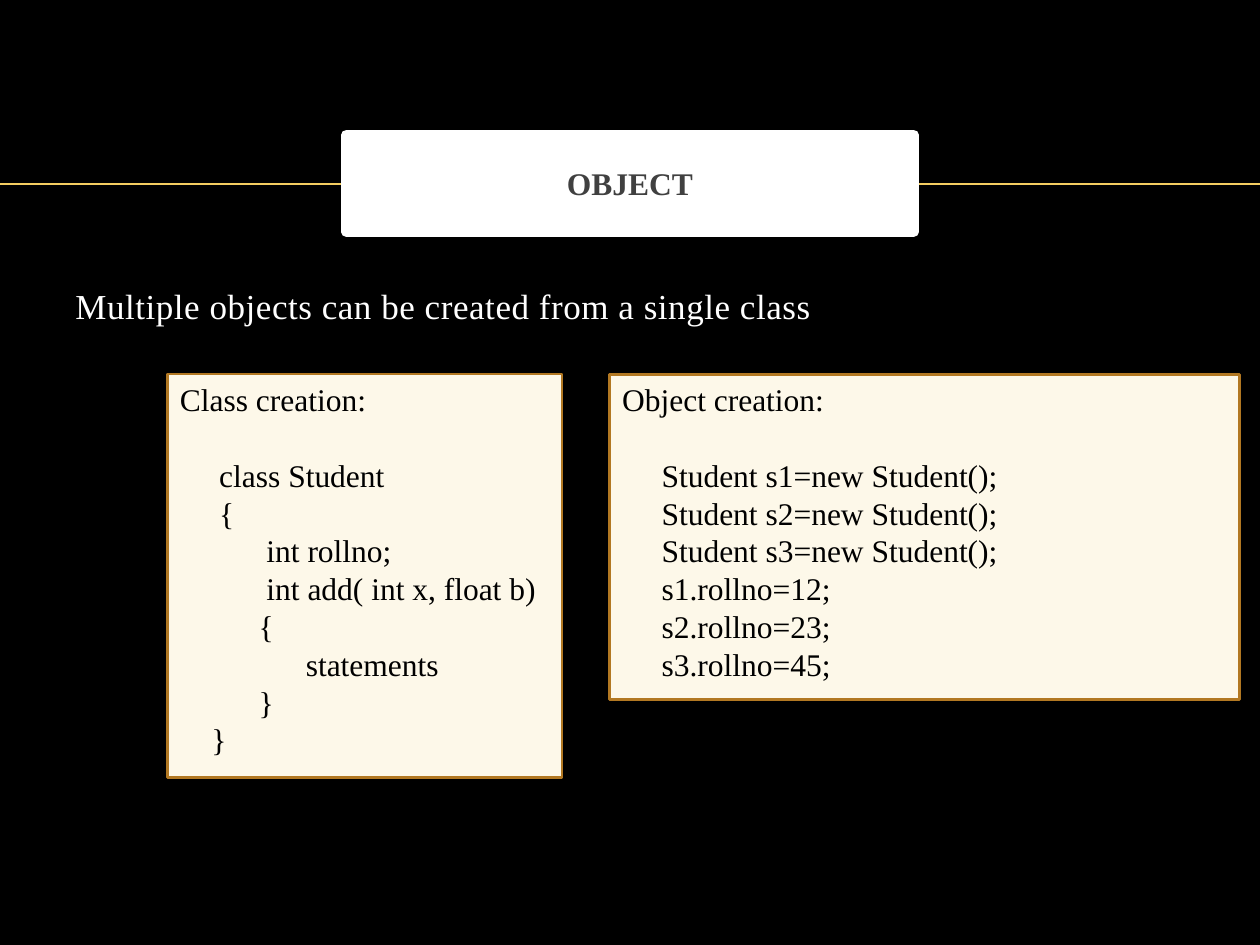
from lxml.etree import SubElement
from pptx import Presentation
from pptx.dml.color import RGBColor as RGB
from pptx.enum.shapes import MSO_CONNECTOR as CONN, MSO_SHAPE as SHAPE
from pptx.enum.text import MSO_ANCHOR as ANCHOR, PP_ALIGN as ALIGN
from pptx.oxml.ns import qn
from pptx.util import Inches, Pt

TITLE = "OBJECT"
LEAD = "Multiple objects can be created from a single class"
PANELS = [
    {"head": "Class creation:", "left": 1.33, "size": (3.13, 3.2), "code": [
        "     class Student",
        "     {",
        "           int rollno;",
        "           int add( int x, float b)",
        "          {",
        "                statements",
        "          }",
        "    }",
    ]},
    {"head": "Object creation:", "left": 4.84, "size": (5, 2.58), "code": [
        "     Student s1=new Student();",
        "     Student s2=new Student();",
        "     Student s3=new Student();",
        "     s1.rollno=12;",
        "     s2.rollno=23;",
        "     s3.rollno=45;",
    ]},
]
PANEL_TOP = 2.97
RULE_Y = 1.46
THEME = {
    "font": "Times New Roman",
    "back": "000000", "rule": "F3CD60", "white": "FFFFFF",
    "title": "404040", "code": "000000",
    "panel": "FDF8E9", "border": "B27822",
    "lead_size": 20, "text_size": 18, "head_gap": 21.5,
}


def color(name):
    return RGB.from_string(THEME[name])


def write(p, text, ink, size, bold=False):
    r = p.add_run()
    r.text = text
    r.font.color.rgb = color(ink)
    fmt = {"name": THEME["font"], "size": Pt(THEME[size]), "bold": bold}
    for key, value in fmt.items():
        setattr(r.font, key, value)
    return r


def paint(sp, fill, line, width):
    sp.fill.solid()
    sp.fill.fore_color.rgb = color(fill)
    sp.line.color.rgb = color(line)
    sp.line.width = Pt(width)


def add_rule(s):
    y = Inches(RULE_Y)
    rule = s.shapes.add_connector(CONN.STRAIGHT, 0, y, Inches(10), y)
    rule.line.color.rgb = color("rule")
    rule.line.width = Pt(1)
    SubElement(rule._element.spPr, qn("a:effectLst"))


def add_title(s):
    sp = s.shapes.title
    s.shapes._spTree.append(sp._element)
    box = {"left": 2.75, "top": 1.07, "width": 4.5, "height": 0.77}
    for key, value in box.items():
        setattr(sp, key, Inches(value))
    paint(sp, "white", "white", 6)
    sp.text_frame.vertical_anchor = ANCHOR.MIDDLE
    p = sp.text_frame.paragraphs[0]
    p.alignment = ALIGN.CENTER
    write(p, TITLE, "title", "text_size", True)


def add_lead(s):
    sp = s.shapes.add_textbox(Inches(0.5), Inches(2.21), Inches(9), Inches(0.5))
    sp.text_frame.word_wrap = True
    r = write(sp.text_frame.paragraphs[0], LEAD, "white", "lead_size")
    r.font._element.set("spc", "30")


def add_panel(s, panel):
    w, h = panel["size"]
    sp = s.shapes.add_shape(SHAPE.FLOWCHART_PROCESS, Inches(panel["left"]),
                            Inches(PANEL_TOP), Inches(w), Inches(h))
    sp.shadow.inherit = False
    paint(sp, "panel", "border", 1.5)
    tf = sp.text_frame
    tf.word_wrap = True
    tf.vertical_anchor = ANCHOR.TOP
    for i, text in enumerate([panel["head"]] + panel["code"]):
        p = tf.add_paragraph() if i else tf.paragraphs[0]
        p.alignment = ALIGN.LEFT
        write(p, text, "code", "text_size")
    tf.paragraphs[0].space_after = Pt(THEME["head_gap"])


def main():
    prs = Presentation()
    prs.slide_width, prs.slide_height = Inches(10), Inches(7.5)
    s = prs.slides.add_slide(prs.slide_layouts[5])
    s.background.fill.solid()
    s.background.fill.fore_color.rgb = color("back")
    add_rule(s)
    add_title(s)
    add_lead(s)
    for panel in PANELS:
        add_panel(s, panel)
    prs.save("out.pptx")


if __name__ == "__main__":
    main()
